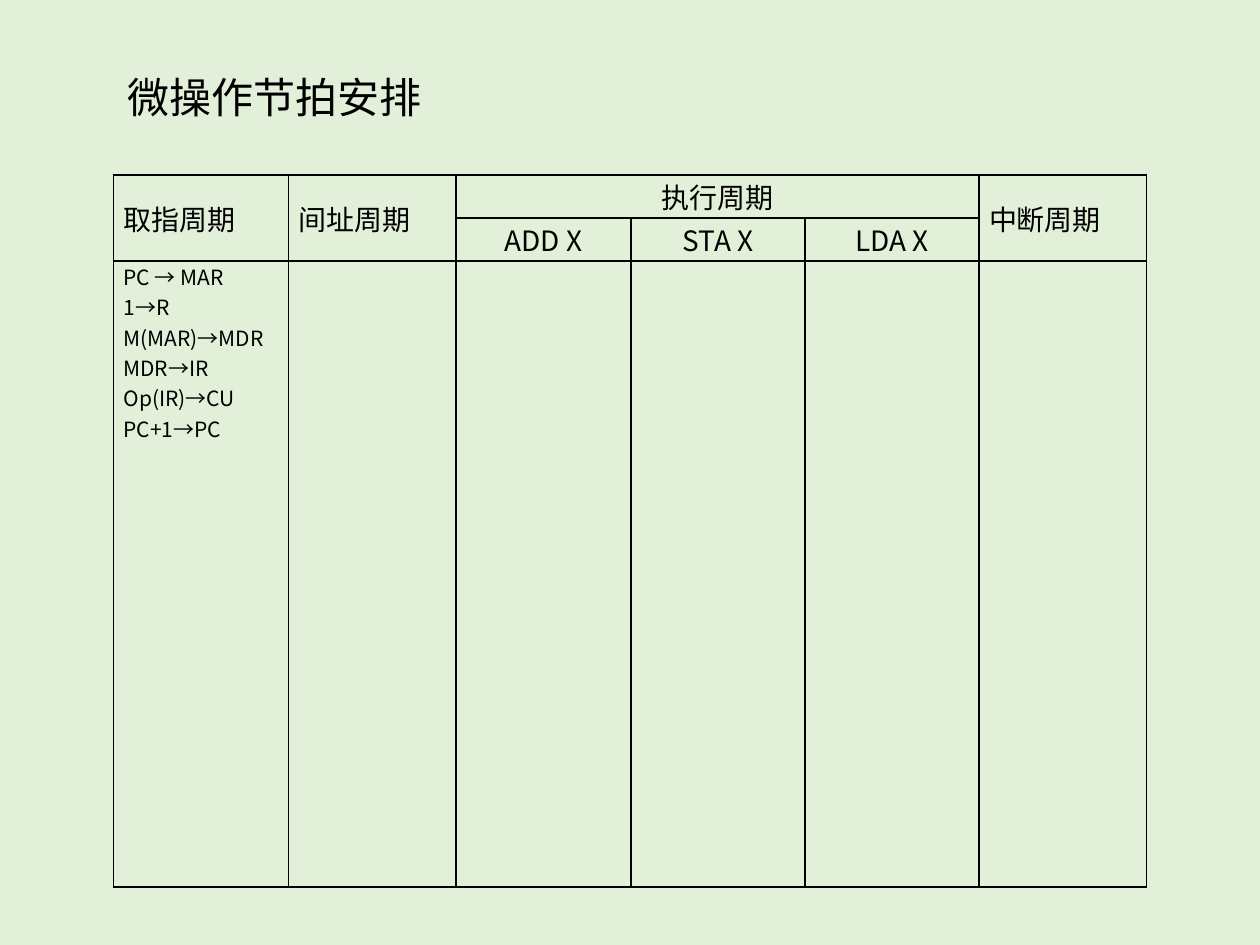
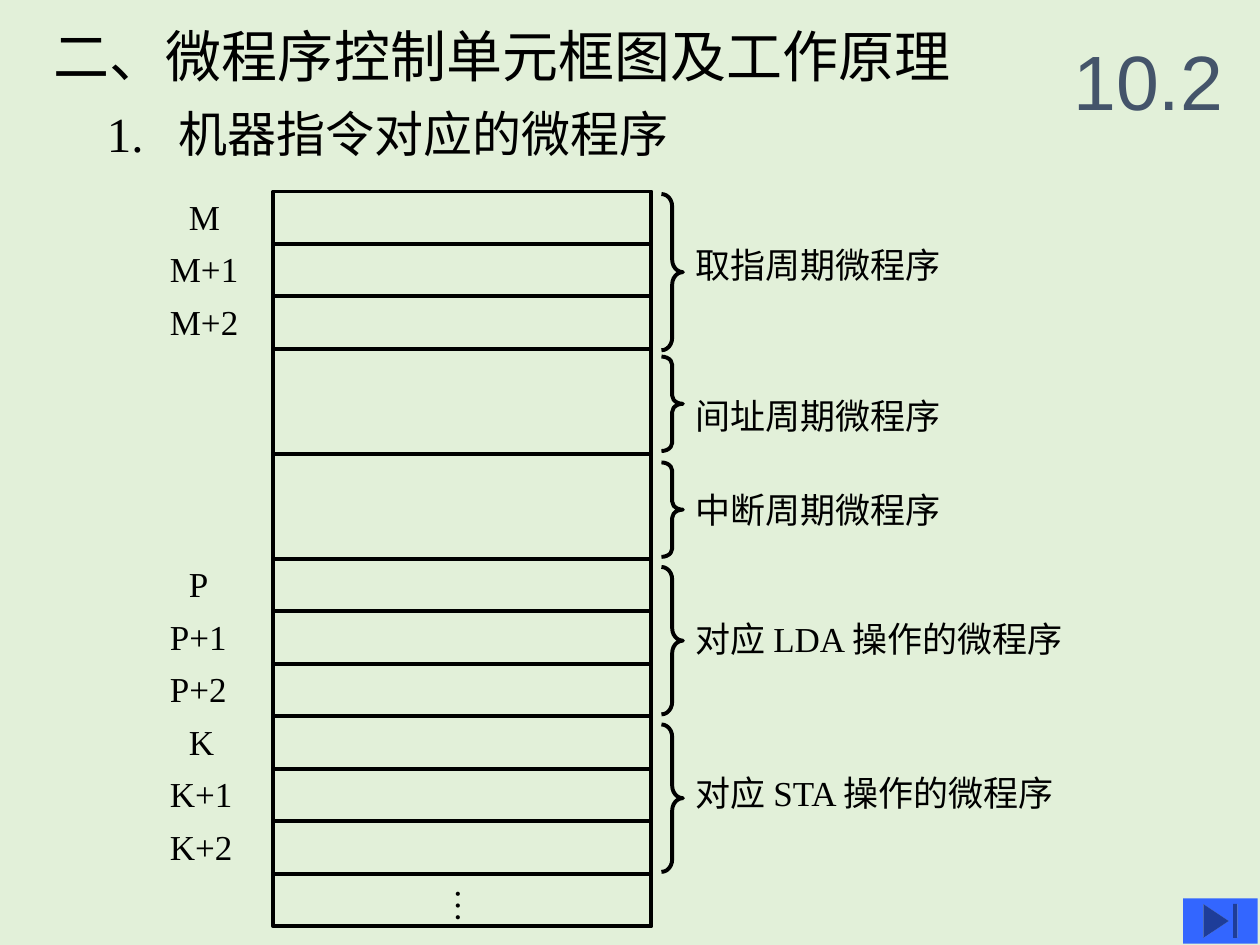
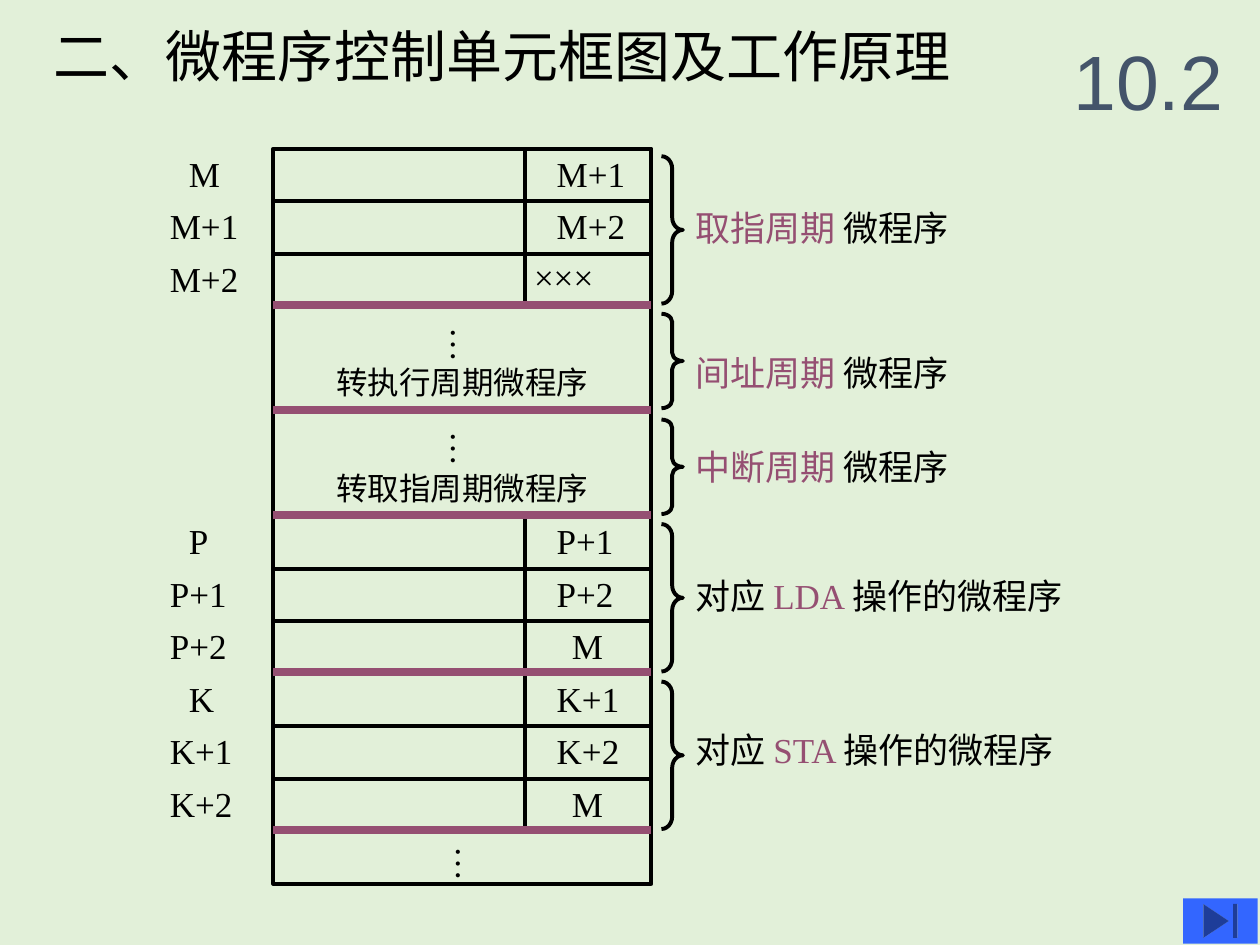
"""Build three slides on micro-operation timing and microprogram layout."""
from dataclasses import dataclass

from lxml import etree
from pptx import Presentation
from pptx import util as u
from pptx.dml.color import RGBColor
from pptx.enum import shapes, text
from pptx.oxml import ns


@dataclass(frozen=True)
class Theme:
    back: str = "E2F0D9"
    ink: str = "000000"
    hot: str = "954F72"
    slate: str = "44546A"
    blue: str = "3366FF"
    serif: str = "Times New Roman"
    sans: str = "Arial"
    cjk: str = "Noto Sans CJK SC"
    mark: int = 44
    title: int = 32
    sub: int = 28
    head: int = 24
    label: int = 20
    note: int = 18
    cell: int = 16
    small: int = 12


T = Theme()
rgb = RGBColor.from_string
Kind = shapes.MSO_SHAPE
Side = text.PP_ALIGN
Mid = text.MSO_ANCHOR.MIDDLE


def box(slide, x, y, w, h):
    """Add a wrapping text box and return its frame."""
    frame = slide.shapes.add_textbox(*map(u.Inches, (x, y, w, h))).text_frame
    frame.word_wrap = True
    return frame


def put(frame, lines, size, face=T.serif, tone=T.ink, side=Side.LEFT):
    """Write lines into a frame; parts between asterisks are highlighted."""
    for i, line in enumerate(lines.split("\n")):
        par = frame.add_paragraph() if i else frame.paragraphs[0]
        par.alignment = side
        par.font.size = u.Pt(size)
        par.font.color.rgb = rgb(tone)
        par.font.name = face
        props = par._p.pPr.find(ns.qn("a:defRPr"))
        etree.SubElement(props, ns.qn("a:ea"), typeface=T.cjk)
        for j, part in enumerate(line.split("*")):
            if part:
                run = par.add_run()
                run.text = part
                if j % 2:
                    run.font.color.rgb = rgb(T.hot)


deck = Presentation()
deck.slide_width, deck.slide_height = u.Inches(10), u.Inches(7.5)
pages = [deck.slides.add_slide(deck.slide_layouts[6]) for _ in range(3)]
for page in pages:
    page.background.fill.solid()
    page.background.fill.fore_color.rgb = rgb(T.back)

first = pages[0]
wide = [1.39, 1.33, 1.39, 1.38, 1.38, 1.33]
tall = [0.34, 0.34, 4.97]
spot = map(u.Inches, (0.9, 1.39, sum(wide), sum(tall)))
table = first.shapes.add_table(len(tall), len(wide), *spot).table
table.first_row = table.horz_banding = False
for col, size in zip(table.columns, wide):
    col.width = u.Inches(size)
for row, size in zip(table.rows, tall):
    row.height = u.Inches(size)
for cell in table.iter_cells():
    cell.margin_left = cell.margin_right = u.Inches(0.08)
    cell.margin_top = cell.margin_bottom = 0
    props = cell._tc.get_or_add_tcPr()
    for edge in ("lnL", "lnR", "lnT", "lnB"):
        line = etree.SubElement(props, ns.qn("a:" + edge), w=str(u.Pt(1)))
        fill = etree.SubElement(line, ns.qn("a:solidFill"))
        etree.SubElement(fill, ns.qn("a:srgbClr"), val=T.ink)
    cell.fill.background()
for col in (0, 1, 5):
    table.cell(0, col).merge(table.cell(1, col))
table.cell(0, 2).merge(table.cell(0, 4))
heads = [
    (0, 0, "取指周期", Side.JUSTIFY),
    (0, 1, "间址周期", Side.JUSTIFY),
    (0, 2, "执行周期", Side.CENTER),
    (0, 5, "中断周期", Side.JUSTIFY),
    (1, 2, "ADD X", Side.CENTER),
    (1, 3, "STA X", Side.CENTER),
    (1, 4, "LDA X", Side.CENTER),
]
for row, col, name, side in heads:
    cell = table.cell(row, col)
    cell.vertical_anchor = Mid
    put(cell.text_frame, name, T.cell, T.cjk, side=side)
steps = "PC → MAR\n1→R\nM(MAR)→MDR\nMDR→IR\nOp(IR)→CU\nPC+1→PC"
put(table.cell(2, 0).text_frame, steps, T.small, T.cjk, side=Side.JUSTIFY)
put(box(first, 0.91, 0.52, 5.58, 0.5), "微操作节拍安排", T.head, T.cjk)

left, right, split, pitch = 2.17, 5.17, 4.17, 5 / 12
slots = [(i, 1) for i in (0, 1, 2, 7, 8, 9, 10, 11, 12, 13)] + [(3, 2), (5, 2)]
names = {0: "M", 1: "M+1", 2: "M+2", 7: "P", 8: "P+1", 9: "P+2",
         10: "K", 11: "K+1", 12: "K+2"}
nexts = {0: "M+1", 1: "M+2", 7: "P+1", 8: "P+2", 9: "M",
         10: "K+1", 11: "K+2", 12: "M"}
spans = [
    (1.31, 0.75, 1.56, 2.23, "*间址周期 *微程序"),
    (2.15, 0.75, 2.31, 2.23, "*中断周期 *微程序"),
    (2.98, 1.17, 3.33, 3.16, "对应 *LDA *操作的微程序"),
    (4.23, 1.17, 4.55, 3.12, "对应 *STA *操作的微程序"),
]
fetch = "*取指周期 *微程序"
plans = [
    (pages[1], 1.52, False, (0.02, 1.24, 0.36, 2.23, fetch), [(3.42, 6.95)]),
    (pages[2], 1.18, True, (0.06, 1.17, 0.41, 2.23, fetch),
     [(3.42, 6.62), (3.38, 2.5), (3.38, 3.33)]),
]
for page, top, hot, lead, dots in plans:
    put(box(page, 0.33, 0.12, 8, 0.63), "二、微程序控制单元框图及工作原理", T.title)
    forms = [(Kind.RECTANGLE, left, top + i * pitch, right - left, n * pitch)
             for i, n in slots]
    forms.append((Kind.ACTION_BUTTON_END, 9.39, 7.13, 0.59, 0.36))
    for y, h, drop, w, note in [lead] + spans:
        forms.append((Kind.RIGHT_BRACE, 5.25, top + y, 0.17, h))
        if not hot:
            note = note.replace(" *微", "微").replace("*", "")
        put(box(page, 5.42, top + drop, w, 0.43), note, T.label)
    for kind, *spot in forms:
        form = page.shapes.add_shape(kind, *map(u.Inches, spot))
        form.shadow.inherit = False
        if kind == Kind.ACTION_BUTTON_END:
            form.fill.solid()
            form.fill.fore_color.rgb = rgb(T.blue)
            form.line.fill.background()
            continue
        form.fill.background()
        form.line.color.rgb = rgb(T.ink)
        form.line.width = u.Pt(2.25)
        if kind == Kind.RIGHT_BRACE:
            form.adjustments[0] = 0.58 if spot[-1] > 1 else 0.38
    for i, name in names.items():
        x, w = (1.25, 0.76) if len(name) > 1 else (1.4, 0.46)
        put(box(page, x, top - 0.02 + i * pitch, w, 0.43), name, T.label)
    for x, y in dots:
        frame = box(page, x, y, 0.53, 0.38)
        frame.word_wrap = False
        frame._txBody.bodyPr.set("vert", "eaVert")
        put(frame, "…", T.label)
    frame = box(page, 8.42, 0.17, 1.58, 0.92)
    frame.vertical_anchor = Mid
    put(frame, "10.2", T.mark, T.sans, T.slate)

frame = box(pages[1], 0.75, 0.77, 5.33, 0.57)
put(frame, "1.\t机器指令对应的微程序", T.sub)
tabs = etree.Element(ns.qn("a:tabLst"))
etree.SubElement(tabs, ns.qn("a:tab"), pos=str(u.Inches(0.57)), algn="l")
frame.paragraphs[0]._p.pPr.insert(0, tabs)

last, top = pages[2], 1.17
rules = [(split, a, split, b, T.ink, 2.25) for a, b in ((0, 3), (7, 13))]
rules += [(left, i, right, i, T.hot, 4.5) for i in (3, 5, 7, 10, 13)]
for x, a, end, b, tone, size in rules:
    ends = map(u.Inches, (x, top + a * pitch, end, top + b * pitch))
    rule = last.shapes.add_connector(shapes.MSO_CONNECTOR.STRAIGHT, *ends)
    rule.line.color.rgb = rgb(tone)
    rule.line.width = u.Pt(size)
    etree.SubElement(rule._element.spPr, ns.qn("a:effectLst"))
for i, name in nexts.items():
    x, w = (4.32, 0.76) if len(name) > 1 else (4.44, 0.46)
    put(box(last, x, top - 0.01 + i * pitch, w, 0.43), name, T.label)
put(box(last, 4.14, 1.98, 1.03, 0.43), "×××", T.label)
for y, note in ((2.83, "转执行周期微程序"), (3.67, "转取指周期微程序")):
    put(box(last, left, y, 3, 0.4), note, T.note, side=Side.CENTER)

deck.save("out.pptx")
